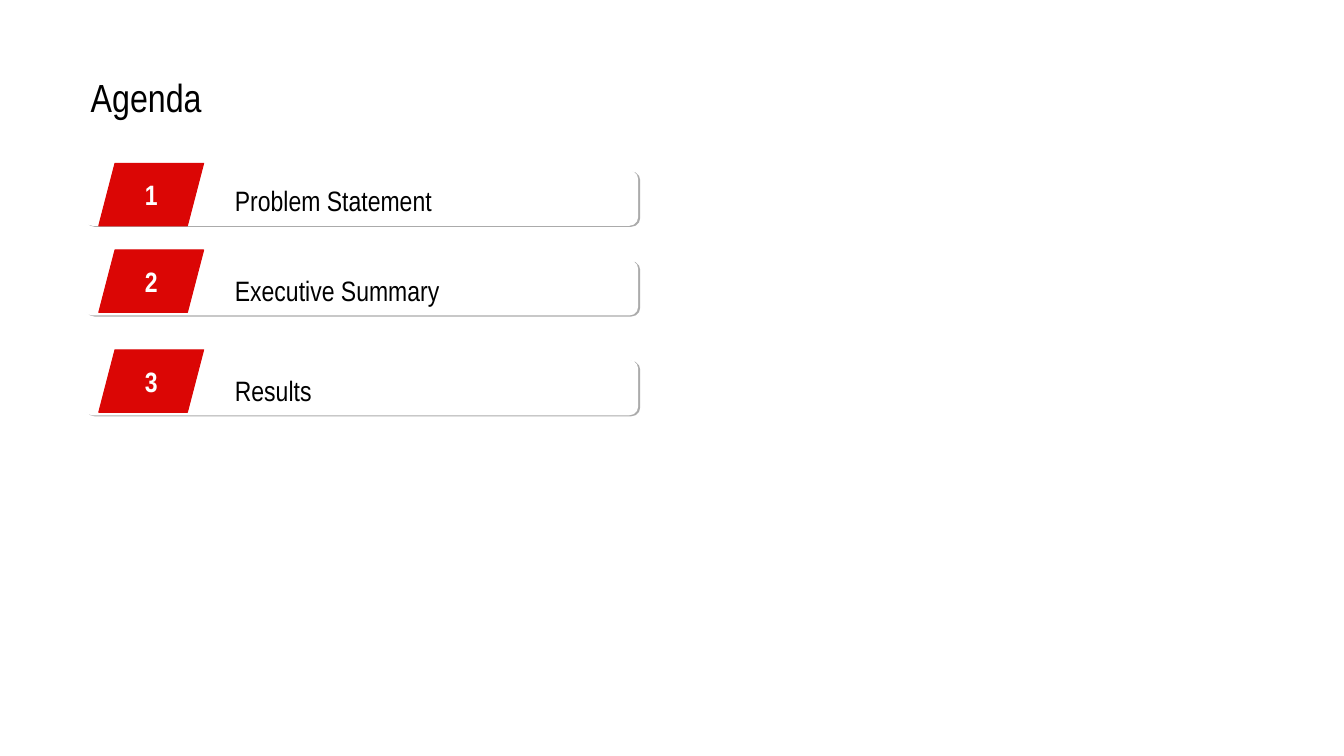
from collections import namedtuple
from dataclasses import dataclass

from lxml import etree
from pptx import Presentation
from pptx.dml.color import RGBColor
from pptx.enum.shapes import MSO_SHAPE as Preset
from pptx.enum.text import MSO_ANCHOR as Anchor, PP_ALIGN as Align
from pptx.oxml.ns import qn
from pptx.util import Inches, Pt

Box = namedtuple("Box", "left top width height")
AgendaItem = namedtuple("AgendaItem", "label bar_top tab_top")


@dataclass(frozen=True)
class Theme:
    font: str = "Arial Narrow"
    title_size: float = 28
    item_size: float = 20
    text: str = "000000"
    bar: str = "FFFFFF"
    accent: str = "DB0605"
    shadow: str = "000000"
    shadow_alpha: int = 33
    inset: float = 0.13


THEME = Theme()
SLIDE_WIDTH, SLIDE_HEIGHT = 13.33, 7.5
TITLE_BOX = Box(0.77, 0.61, 4.69, 0.7)
BAR_LEFT, BAR_WIDTH, BAR_HEIGHT = 0.83, 5.5, 0.55
AGENDA = [
    AgendaItem("Problem Statement", 1.69, 1.62),
    AgendaItem("Executive Summary", 2.58, 2.48),
    AgendaItem("Results", 3.57, 3.47),
]


def to_inches(box):
    return [Inches(value) for value in box]


def write_text(shape, text, size, color, bold=False, align=Align.LEFT):
    frame = shape.text_frame
    inset = Inches(THEME.inset)
    frame_format = {
        "word_wrap": True,
        "vertical_anchor": Anchor.MIDDLE,
        "margin_left": inset,
        "margin_top": inset,
        "margin_right": inset,
        "margin_bottom": inset,
    }
    for name, value in frame_format.items():
        setattr(frame, name, value)
    paragraph = frame.paragraphs[0]
    paragraph.alignment = align
    run = paragraph.add_run()
    run.text = text
    font_format = {"name": THEME.font, "size": Pt(size), "bold": bold}
    for name, value in font_format.items():
        setattr(run.font, name, value)
    run.font.color.rgb = RGBColor.from_string(color)


def add_filled(shapes, preset, box, color, adjustment, alpha=None, line=None):
    shape = shapes.add_shape(preset, *to_inches(box))
    shape.shadow.inherit = False
    shape.adjustments[0] = adjustment
    shape.fill.solid()
    shape.fill.fore_color.rgb = RGBColor.from_string(color)
    if alpha is not None:
        fill_color = shape.fill._xPr.find(qn("a:solidFill"))[0]
        etree.SubElement(fill_color, qn("a:alpha"), val=str(alpha * 1000))
    if line is None:
        shape.line.fill.background()
    else:
        shape.line.color.rgb = RGBColor.from_string(color)
        shape.line.width = Pt(line)
    return shape


def add_title(slide, box, text):
    title = slide.shapes.add_textbox(*to_inches(box))
    write_text(title, text, THEME.title_size, THEME.text)


def add_agenda_item(slide, box, number, item):
    shapes = slide.shapes.add_group_shape().shapes
    shadow_box = box._replace(left=box.left + 0.02, top=box.top + 0.01)
    tab_box = Box(box.left + 0.15, item.tab_top, 1.04, 0.62)
    label_box = Box(box.left + 1.37, box.top + 0.15, 3.9, 0.3)

    add_filled(shapes, Preset.ROUNDED_RECTANGLE, shadow_box, THEME.shadow, 0.16,
               alpha=THEME.shadow_alpha)
    add_filled(shapes, Preset.ROUNDED_RECTANGLE, box, THEME.bar, 0.16)
    tab = add_filled(shapes, Preset.PARALLELOGRAM, tab_box, THEME.accent, 0.26,
                     line=0.75)
    write_text(tab, str(number), THEME.item_size, THEME.bar, True, Align.CENTER)
    label = shapes.add_textbox(*to_inches(label_box))
    write_text(label, item.label, THEME.item_size, THEME.text)


def build_agenda_slide(presentation):
    slide = presentation.slides.add_slide(presentation.slide_layouts[6])
    add_title(slide, TITLE_BOX, "Agenda")
    for number, item in enumerate(AGENDA, start=1):
        box = Box(BAR_LEFT, item.bar_top, BAR_WIDTH, BAR_HEIGHT)
        add_agenda_item(slide, box, number, item)


def main():
    presentation = Presentation()
    presentation.slide_width = Inches(SLIDE_WIDTH)
    presentation.slide_height = Inches(SLIDE_HEIGHT)
    build_agenda_slide(presentation)
    presentation.save("out.pptx")


if __name__ == "__main__":
    main()
